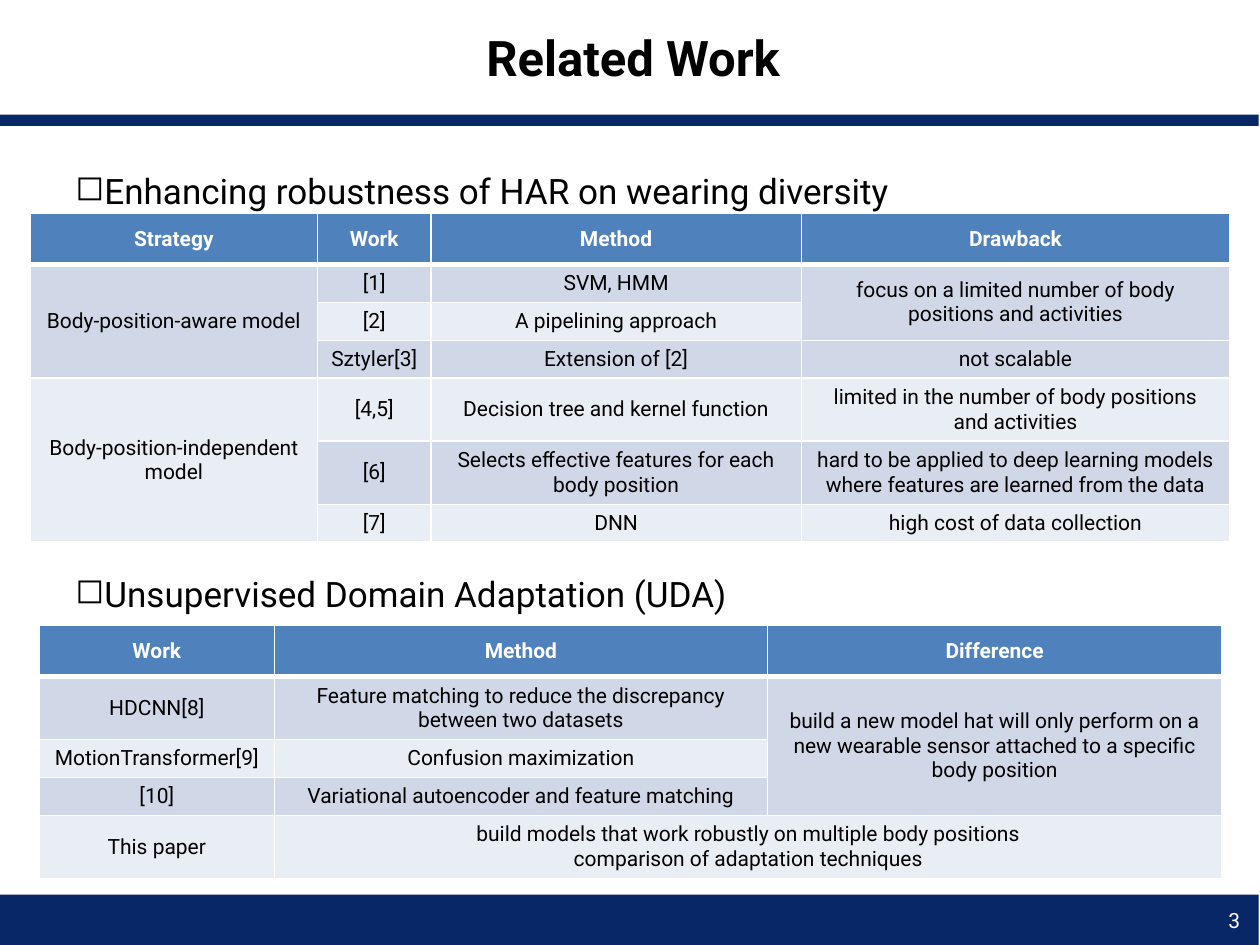
"""Build the Related Work slide with its two comparison tables."""
from dataclasses import dataclass

import lxml.etree
import pptx
import pptx.dml.color
import pptx.enum.shapes
import pptx.enum.text
import pptx.oxml.ns
import pptx.util

Inches = pptx.util.Inches
Pt = pptx.util.Pt
qn = pptx.oxml.ns.qn
ALIGN = pptx.enum.text.PP_ALIGN
MIDDLE = pptx.enum.text.MSO_ANCHOR.MIDDLE

COLORS = {
    "navy": "082767",
    "header": "4F81BD",
    "dark_band": "D0D8E8",
    "light_band": "E9EDF4",
    "white": "FFFFFF",
    "black": "000000",
}
FONT = "Roboto"
HEADER_HEIGHT, ONE_LINE, TWO_LINES = 0.41, 0.3, 0.49


@dataclass
class Box:
    left: float
    top: float
    width: float
    height: float

    def lengths(self) -> tuple:
        return tuple(map(Inches, (self.left, self.top, self.width, self.height)))


@dataclass
class Heading:
    text: str
    top: float


@dataclass
class Comparison:
    left: float
    top: float
    columns: list[float]
    heights: list[float]
    rows: list[list[str]]
    merges: list[tuple[int, int, int, int]]


HEADINGS = [
    Heading("Enhancing robustness of HAR on wearing diversity", 1.26),
    Heading("Unsupervised Domain Adaptation (UDA)", 4.46),
]

COMPARISONS = [
    Comparison(
        0.24, 1.69, [2.28, 0.9, 2.94, 3.4],
        [HEADER_HEIGHT, ONE_LINE, ONE_LINE, ONE_LINE, TWO_LINES, TWO_LINES, ONE_LINE],
        [
            ["Strategy", "Work", "Method", "Drawback"],
            ["Body-position-aware model", "[1]", "SVM, HMM",
             "focus on a limited number of body positions and activities"],
            ["", "[2]", "A pipelining approach", ""],
            ["", "Sztyler[3]", "Extension of [2]", "not scalable"],
            ["Body-position-independent model", "[4,5]", "Decision tree and kernel function",
             "limited in the number of body positions and activities"],
            ["", "[6]", "Selects eﬀective features for each body position",
             "hard to be applied to deep learning models where features are learned from the data"],
            ["", "[7]", "DNN", "high cost of data collection"],
        ],
        [(1, 0, 3, 0), (4, 0, 6, 0), (1, 3, 2, 3)],
    ),
    Comparison(
        0.31, 4.96, [1.87, 3.91, 3.61],
        [HEADER_HEIGHT, TWO_LINES, ONE_LINE, ONE_LINE, TWO_LINES],
        [
            ["Work", "Method", "Difference"],
            ["HDCNN[8]", "Feature matching to reduce the discrepancy between two datasets",
             "build a new model hat will only perform on a new wearable sensor "
             "attached to a specific body position"],
            ["MotionTransformer[9]", "Confusion maximization", ""],
            ["[10]", "Variational autoencoder and feature matching", ""],
            ["This paper", "build models that work robustly on multiple body positions\n"
             "comparison of adaptation techniques", ""],
        ],
        [(1, 2, 3, 2), (4, 1, 4, 2)],
    ),
]


def rgb(name: str) -> pptx.dml.color.RGBColor:
    """Return a named colour."""
    return pptx.dml.color.RGBColor.from_string(COLORS[name])


def write(frame, text: str, *, size: float = 12, color: str = "black",
          bold: bool = False, align=ALIGN.CENTER) -> None:
    """Fill a text frame with one paragraph per line of text."""
    frame.word_wrap = True
    for index, line in enumerate(text.split("\n")):
        paragraph = frame.add_paragraph() if index else frame.paragraphs[0]
        paragraph.alignment = align
        run = paragraph.add_run()
        run.text = line
        run.font.name = FONT
        run.font.size = Pt(size)
        run.font.bold = bold
        run.font.color.rgb = rgb(color)


def add_text(slide, box: Box, text: str, **formatting):
    """Add a vertically centred text box and return its frame."""
    frame = slide.shapes.add_textbox(*box.lengths()).text_frame
    frame.vertical_anchor = MIDDLE
    write(frame, text, **formatting)
    return frame


def add_band(slide, box: Box) -> None:
    """Add a plain navy band."""
    band = slide.shapes.add_shape(pptx.enum.shapes.MSO_SHAPE.RECTANGLE, *box.lengths())
    band.shadow.inherit = False
    band.fill.solid()
    band.fill.fore_color.rgb = rgb("navy")
    band.line.fill.background()


def add_heading(slide, heading: Heading) -> None:
    """Add a section heading with a square bullet."""
    frame = add_text(slide, Box(0.5, heading.top, 9, 0.5), heading.text,
                     size=20, align=ALIGN.LEFT)
    properties = frame.paragraphs[0]._p.get_or_add_pPr()
    properties.set("marL", str(Inches(0.17)))
    properties.set("indent", str(-Inches(0.17)))
    lxml.etree.SubElement(properties, qn("a:buChar")).set("char", "◻")


def set_borders(cell, row: int) -> None:
    """Draw white cell borders, thicker beneath the header row."""
    widths = {"L": 1, "R": 1, "T": 3 if row == 1 else 1, "B": 3 if row == 0 else 1}
    properties = cell._tc.get_or_add_tcPr()
    for position, (side, width) in enumerate(widths.items()):
        border = lxml.etree.Element(qn(f"a:ln{side}"), w=str(Pt(width)))
        fill = lxml.etree.SubElement(border, qn("a:solidFill"))
        lxml.etree.SubElement(fill, qn("a:srgbClr")).set("val", COLORS["white"])
        properties.insert(position, border)


def add_comparison(slide, comparison: Comparison) -> None:
    """Add a comparison table with banded rows and merged cells."""
    box = Box(comparison.left, comparison.top, sum(comparison.columns), sum(comparison.heights))
    table = slide.shapes.add_table(
        len(comparison.rows), len(comparison.columns), *box.lengths()).table
    for column, width in zip(table.columns, comparison.columns):
        column.width = Inches(width)
    for row, height in zip(table.rows, comparison.heights):
        row.height = Inches(height)
    for top, left, bottom, right in comparison.merges:
        table.cell(top, left).merge(table.cell(bottom, right))
    for r, texts in enumerate(comparison.rows):
        band = "header" if r == 0 else "dark_band" if r % 2 else "light_band"
        for c, text in enumerate(texts):
            cell = table.cell(r, c)
            cell.fill.solid()
            cell.fill.fore_color.rgb = rgb(band)
            set_borders(cell, r)
            cell.vertical_anchor = MIDDLE
            if text:
                write(cell.text_frame, text, bold=r == 0, color="black" if r else "white")


def main() -> None:
    """Build and save the slide."""
    deck = pptx.Presentation()
    deck.slide_width, deck.slide_height = Inches(10), Inches(7.5)
    slide = deck.slides.add_slide(deck.slide_layouts[6])
    add_band(slide, Box(0, 0.91, 9.99, 0.09))
    add_band(slide, Box(0, 7.1, 9.99, 0.4))
    add_text(slide, Box(1.17, 0, 7.71, 0.91), "Related Work", size=28, bold=True)
    for heading in HEADINGS:
        add_heading(slide, heading)
    add_text(slide, Box(9.59, 7.1, 0.41, 0.4), "3", color="white")
    for comparison in COMPARISONS:
        add_comparison(slide, comparison)
    deck.save("out.pptx")


if __name__ == "__main__":
    main()
